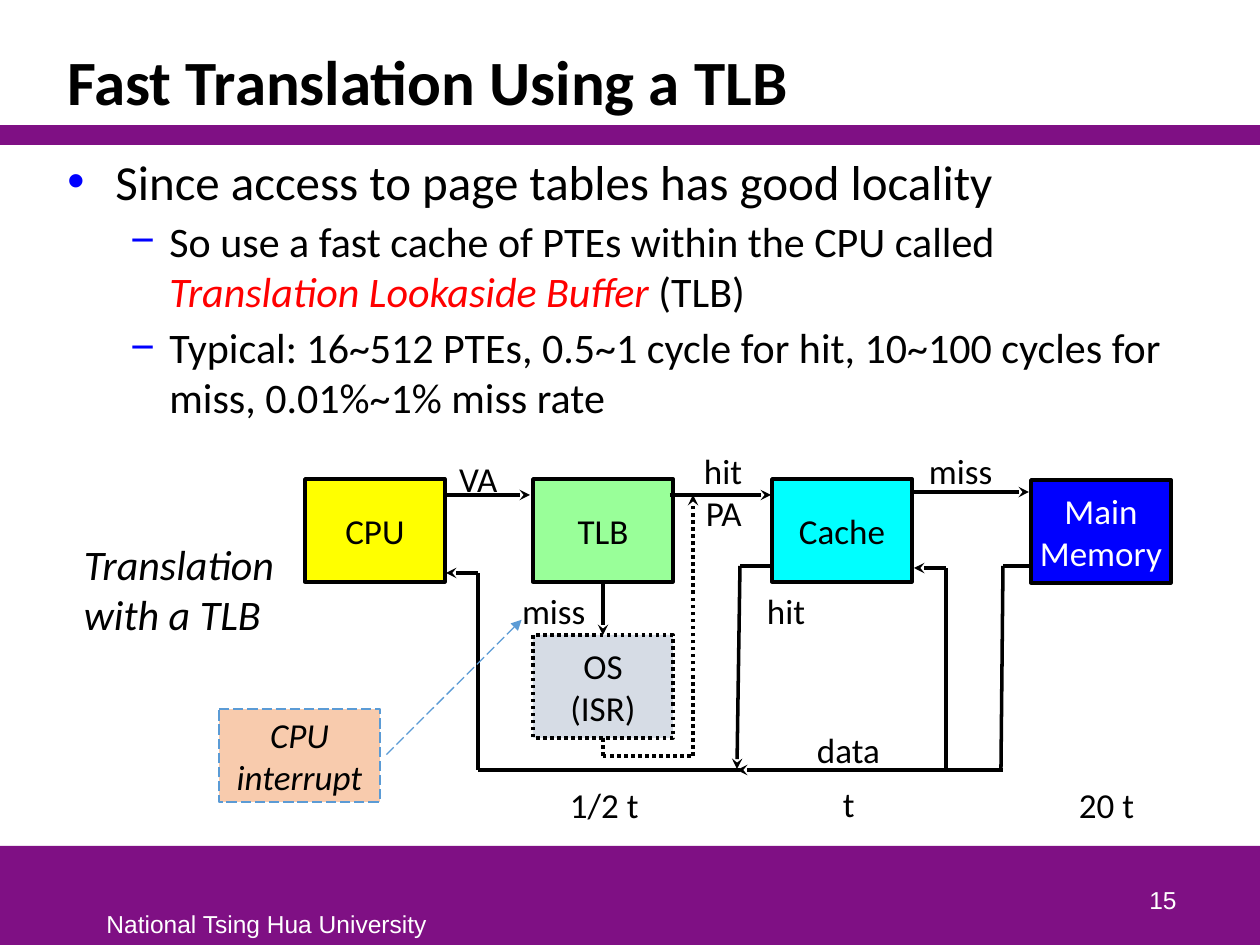
from lxml.etree import SubElement
from pptx import Presentation
from pptx.dml.color import RGBColor
from pptx.enum.dml import MSO_LINE_DASH_STYLE as Dash
from pptx.enum.shapes import MSO_CONNECTOR, MSO_SHAPE
from pptx.enum.text import MSO_ANCHOR as Anchor, PP_ALIGN as Align
from pptx.oxml.ns import qn
from pptx.util import Pt

PX = 914400 / 126
BLACK = RGBColor(0, 0, 0)
WHITE = RGBColor(255, 255, 255)
PURPLE = RGBColor(0x7F, 0x10, 0x84)
RED = RGBColor(255, 0, 0)
YELLOW = RGBColor(255, 255, 0)
GREEN = RGBColor(0x99, 0xFF, 0x99)
CYAN = RGBColor(0, 255, 255)
BLUE = RGBColor(0, 0, 255)
GRAY = RGBColor(0xD6, 0xDC, 0xE5)
PEACH = RGBColor(0xF8, 0xCB, 0xAD)
SKY = RGBColor(0x5B, 0x9B, 0xD5)

TITLE = "Fast Translation Using a TLB"
BULLETS = [
    (0, [("Since access to page tables has good locality", False)]),
    (1, [("So use a fast cache of PTEs within the CPU called ", False),
         ("Translation Lookaside Buffer ", True), ("(TLB)", False)]),
    (1, [("Typical: 16~512 PTEs, 0.5~1 cycle for hit, 10~100 cycles for "
          "miss, 0.01%~1% miss rate", False)]),
]
BULLET_LEVELS = [("•", 28, 48, -48), ("−", 24, 102, -39)]

BANDS = [(0, 846, 1260, 99), (0, 125, 1260, 20)]
BOX_SIZE = (140, 103)
BOXES = {
    "CPU": (["CPU"], 305, 479, YELLOW, BLACK),
    "TLB": (["TLB"], 533, 479, GREEN, BLACK),
    "Cache": (["Cache"], 772, 479, CYAN, BLACK),
    "Memory": (["Main", "Memory"], 1031, 480, BLUE, WHITE),
    "OS": (["OS", "(ISR)"], 533, 635, GRAY, BLACK),
}
LABELS = [
    ("VA", 451, 460, 55), ("PA", 698, 494, 53), ("hit", 696, 452, 55),
    ("miss", 921, 452, 81), ("hit", 759, 592, 55), ("miss", 514, 592, 81),
    ("data", 809, 731, 81), ("1/2 t", 562, 786, 86), ("t", 835, 785, 28),
    ("20 t", 1071, 786, 72),
]
SOLID_ROUTES = [
    ([(446, 495), (530, 495)], True),
    ([(670, 495), (771, 495)], True),
    ([(912, 492), (1029, 492)], True),
    ([(1029, 566), (1003, 566), (1001, 770)], False),
    ([(1003, 770), (737, 770)], True),
    ([(740, 770), (478, 770), (478, 573), (446, 573)], True),
    ([(946, 770), (946, 568), (914, 568)], True),
    ([(771, 566), (740, 566), (737, 769)], True),
]
RETURN_ROUTE = [(603, 756), (693, 756), (693, 495)]


def emu(*lengths):
    return [round(length * PX) for length in lengths]


def set_font(paragraph, size, color=BLACK, name="Calibri", italic=None, bold=None):
    font = paragraph.font
    font.size, font.name, font.italic, font.bold = Pt(size), name, italic, bold
    font.color.rgb = color


def set_frame(frame, lines, size, color=BLACK, name="Calibri", italic=None, bold=None,
              align=None, anchor=None, spacing=None, wrap=False, insets=None):
    frame.word_wrap = wrap
    if anchor is not None:
        frame.vertical_anchor = anchor
    if insets:
        frame.margin_left, frame.margin_top = emu(*insets)
        frame.margin_right, frame.margin_bottom = emu(*insets)
    frame.text = "\n".join(lines)
    for paragraph in frame.paragraphs:
        set_font(paragraph, size, color, name, italic, bold)
        paragraph.alignment = align
        paragraph.line_spacing = spacing


def add_text(slide, box, lines, size, **style):
    shape = slide.shapes.add_textbox(*emu(*box))
    set_frame(shape.text_frame, lines, size, **style)


def add_box(slide, box, fill, line=None, width=2, dash=None, kind=MSO_SHAPE.RECTANGLE):
    shape = slide.shapes.add_shape(kind, *emu(*box))
    shape.shadow.inherit = False
    shape.fill.solid()
    shape.fill.fore_color.rgb = fill
    if line is None:
        shape.line.fill.background()
    else:
        shape.line.color.rgb = line
        shape.line.width = Pt(width)
        shape.line.dash_style = dash
    return shape


def add_arrowhead(shape, kind):
    SubElement(shape._element.spPr.find(qn("a:ln")), qn("a:tailEnd"), type=kind)


def add_line(slide, start, end, arrow=False, dash=None):
    connector = slide.shapes.add_connector(MSO_CONNECTOR.STRAIGHT, *emu(*start, *end))
    connector.line.color.rgb = BLACK
    connector.line.width = Pt(2)
    connector.line.dash_style = dash
    if arrow:
        add_arrowhead(connector, "stealth")
    SubElement(connector._element.spPr, qn("a:effectLst"))
    return connector


def add_route(slide, points, arrow, dash=None):
    for index, (start, end) in enumerate(zip(points, points[1:]), 2):
        add_line(slide, start, end, arrow and index == len(points), dash)


def add_bullets(slide):
    frame = slide.shapes.add_textbox(*emu(55, 145, 1149, 697)).text_frame
    frame.word_wrap = True
    for index, (level, runs) in enumerate(BULLETS):
        paragraph = frame.paragraphs[0] if index == 0 else frame.add_paragraph()
        character, size, margin, indent = BULLET_LEVELS[level]
        paragraph.level = level
        paragraph.space_before = Pt(3)
        set_font(paragraph, size)
        for text, emphasized in runs:
            run = paragraph.add_run()
            run.text = text
            if emphasized:
                run.font.italic = True
                run.font.color.rgb = RED
        properties = paragraph._p.get_or_add_pPr()
        margin, indent = emu(margin, indent)
        properties.set("marL", str(margin))
        properties.set("indent", str(indent))
        color = SubElement(properties, qn("a:buClr"))
        SubElement(color, qn("a:srgbClr"), val=str(BLUE))
        SubElement(properties, qn("a:buFont"), typeface="Arial")
        SubElement(properties, qn("a:buChar"), char=character)
        properties.append(properties.find(qn("a:defRPr")))


def add_diagram(slide):
    shapes = {}
    for name, (lines, left, top, fill, color) in BOXES.items():
        dash = Dash.ROUND_DOT if name == "OS" else None
        shape = add_box(slide, (left, top, *BOX_SIZE), fill, BLACK, dash=dash)
        set_frame(shape.text_frame, lines, 20, color=color, align=Align.CENTER,
                  anchor=Anchor.MIDDLE, insets=(11, 6))
        shapes[name] = shape
    for points, arrow in SOLID_ROUTES:
        add_route(slide, points, arrow)
    trap = add_line(slide, (603, 582), (603, 635), True)
    trap.begin_connect(shapes["TLB"], 2)
    trap.end_connect(shapes["OS"], 0)
    exit_line = add_line(slide, (603, 738), RETURN_ROUTE[0], dash=Dash.ROUND_DOT)
    exit_line.begin_connect(shapes["OS"], 2)
    add_route(slide, RETURN_ROUTE, True, Dash.ROUND_DOT)
    for text, left, top, width in LABELS:
        add_text(slide, (left, top, width, 43), [text], 20, spacing=0.85, insets=(8, 4))
    add_text(slide, (76, 534, 209, 108), ["Translation", "with a TLB"], 24,
             italic=True, insets=(8, 4))


def add_callout(slide):
    callout = add_box(slide, (219, 709, 161, 93), PEACH, SKY, 0.75, Dash.LONG_DASH,
                      MSO_SHAPE.LINE_CALLOUT_1)
    for index, value in enumerate((0.49, 1.04, -0.96, 1.88)):
        callout.adjustments[index] = value
    add_arrowhead(callout, "triangle")
    set_frame(callout.text_frame, ["CPU interrupt"], 20, italic=True, wrap=True,
              align=Align.CENTER, anchor=Anchor.MIDDLE)


def main():
    presentation = Presentation()
    presentation.slide_width, presentation.slide_height = emu(1260, 945)
    slide = presentation.slides.add_slide(presentation.slide_layouts[6])
    for band in BANDS:
        add_box(slide, band, PURPLE)
    add_text(slide, (94, 903, 348, 42), ["National Tsing Hua University"], 14,
             color=WHITE, name="Arial")
    add_text(slide, (55, 32, 1149, 93), [TITLE], 36, bold=True, spacing=0.85,
             anchor=Anchor.BOTTOM, wrap=True)
    add_bullets(slide)
    add_diagram(slide)
    add_text(slide, (927, 858, 262, 63), ["15"], 14, color=WHITE, name="Arial",
             align=Align.RIGHT, anchor=Anchor.BOTTOM, wrap=True)
    add_callout(slide)
    presentation.save("out.pptx")


if __name__ == "__main__":
    main()
